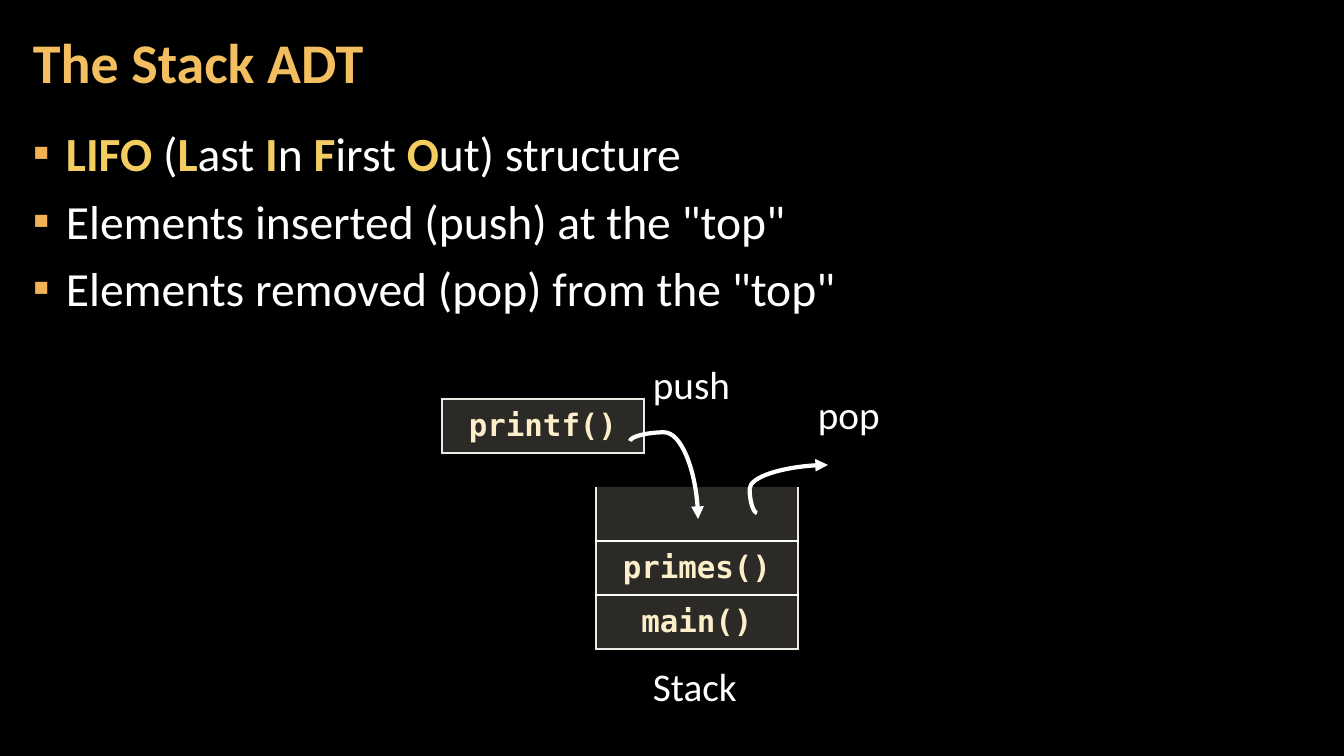
from dataclasses import dataclass

from lxml import etree
from pptx import Presentation
from pptx.dml.color import RGBColor
from pptx.enum.shapes import MSO_CONNECTOR
from pptx.enum.text import MSO_ANCHOR, MSO_AUTO_SIZE, PP_ALIGN
from pptx.oxml.ns import qn
from pptx.util import Emu, Pt

CURVE = MSO_CONNECTOR.CURVE
MIDDLE, TOP = MSO_ANCHOR.MIDDLE, MSO_ANCHOR.TOP
FIXED, GROW = MSO_AUTO_SIZE.NONE, MSO_AUTO_SIZE.SHAPE_TO_FIT_TEXT
LEFT, CENTER = PP_ALIGN.LEFT, PP_ALIGN.CENTER


@dataclass(frozen=True)
class Theme:
    background: str = "000000"
    title: str = "F3BE60"
    highlight: str = "F3CD60"
    bullet: str = "F2B254"
    text: str = "FFFFFF"
    code: str = "FBEEC9"
    frame_fill: str = "D9D5C7"
    frame_edge: str = "ECEAE3"
    sans: str = "Calibri"
    mono: str = "DejaVu Sans Mono"
    title_size: int = 40
    body_size: int = 34
    label_size: int = 28
    code_size: int = 22


THEME = Theme()
OUTER_EDGE = (THEME.frame_edge, 2.25)
INNER_EDGE = (THEME.text, 1)
ROW_HEIGHT = 54
FRAME_WIDTH = 202

BULLETS = [
    [("LIFO", True), (" (", False), ("L", True), ("ast ", False),
     ("I", True), ("n ", False), ("F", True), ("irst ", False),
     ("O", True), ("ut) structure", False)],
    [('Elements inserted (push) at the "top"', False)],
    [('Elements removed (pop) from the "top"', False)],
]
LABELS = [
    ("Stack", (643, 657, 176, 58)),
    ("push", (643, 355, 151, 58)),
    ("pop", (808, 385, 94, 58)),
]


def px(length):
    return Emu(round(length * 914400 / 100.8))


def apply(target, values):
    for name, value in values.items():
        setattr(target, name, value)


def add_child(parent, tag, **attributes):
    return etree.SubElement(parent, qn(tag), attributes)


def add_run(paragraph, text, size, color, bold=False, font=THEME.sans):
    run = paragraph.add_run()
    run.text = text
    apply(run.font, {"size": Pt(size), "bold": bold, "name": font})
    run.font.color.rgb = RGBColor.from_string(color)


def add_title(slide, text):
    title = slide.shapes.title
    apply(title, {"left": px(21), "top": px(4),
                  "width": px(1055), "height": px(122)})
    frame = title.text_frame
    apply(frame, {"word_wrap": True, "auto_size": FIXED,
                  "vertical_anchor": MIDDLE,
                  "margin_left": px(12), "margin_right": px(12),
                  "margin_top": px(4), "margin_bottom": px(4)})
    paragraph = frame.paragraphs[0]
    apply(paragraph, {"alignment": LEFT, "line_spacing": 0.9})
    add_run(paragraph, text, THEME.title_size, THEME.title, True)


def add_bullet(paragraph):
    properties = paragraph._p.get_or_add_pPr()
    properties.set("marL", str(px(33)))
    properties.set("indent", str(px(-33)))
    color = add_child(properties, "a:buClr")
    add_child(color, "a:srgbClr", val=THEME.bullet)
    add_child(properties, "a:buFont", typeface=THEME.sans)
    add_child(properties, "a:buChar", char="▪")


def add_bullet_list(slide, items, box):
    frame = slide.shapes.add_textbox(*map(px, box)).text_frame
    apply(frame, {"word_wrap": True, "vertical_anchor": TOP,
                  "margin_left": px(12), "margin_right": px(12),
                  "margin_top": px(4), "margin_bottom": px(4)})
    for index, pieces in enumerate(items):
        paragraph = frame.add_paragraph() if index else frame.paragraphs[0]
        add_bullet(paragraph)
        apply(paragraph, {"line_spacing": Pt(36), "space_after": Pt(6)})
        if index:
            paragraph.space_before = Pt(6)
        for text, highlighted in pieces:
            color = THEME.highlight if highlighted else THEME.text
            add_run(paragraph, text, THEME.body_size, color, highlighted)


def add_label(slide, text, box):
    frame = slide.shapes.add_textbox(*map(px, box)).text_frame
    apply(frame, {"word_wrap": True, "auto_size": GROW})
    add_run(frame.paragraphs[0], text, THEME.label_size, THEME.text)


def fill_cell(cell):
    cell.fill.solid()
    cell.fill.fore_color.rgb = RGBColor.from_string(THEME.frame_fill)
    color = cell._tc.tcPr.find(".//" + qn("a:srgbClr"))
    add_child(color, "a:alpha", val="20000")


def set_borders(cell, top, bottom):
    """Draw the cell's edges; an edge of None stays open."""
    properties = cell._tc.get_or_add_tcPr()
    sides = [("L", OUTER_EDGE), ("R", OUTER_EDGE), ("T", top), ("B", bottom)]
    for position, (side, edge) in enumerate(sides):
        line = etree.Element(qn("a:ln" + side))
        if edge:
            color, width = edge
            line.set("w", str(Pt(width)))
            add_child(add_child(line, "a:solidFill"), "a:srgbClr", val=color)
        else:
            add_child(line, "a:noFill")
        properties.insert(position, line)


def add_frames(slide, calls, left, top, top_edge):
    """Add one column of call frames, the newest first."""
    table = slide.shapes.add_table(
        len(calls), 1, px(left), px(top),
        px(FRAME_WIDTH), px(ROW_HEIGHT * len(calls))).table
    apply(table, {"first_row": False, "horz_banding": False})
    last = len(calls) - 1
    for row, call in enumerate(calls):
        cell = table.cell(row, 0)
        cell.vertical_anchor = MIDDLE
        fill_cell(cell)
        set_borders(cell, INNER_EDGE if row else top_edge,
                    OUTER_EDGE if row == last else INNER_EDGE)
        if call:
            paragraph = cell.text_frame.paragraphs[0]
            apply(paragraph, {"alignment": CENTER, "line_spacing": 0.95})
            add_run(paragraph, call, THEME.code_size, THEME.code, True,
                    THEME.mono)


def add_curved_arrow(slide, begin, end, bend, rotation=0):
    """Add a curve; bend is in 1/1000 of its width, rotation in degrees."""
    arrow = slide.shapes.add_connector(CURVE, *map(px, begin + end))
    arrow.line.width = Pt(3)
    arrow.line.color.rgb = RGBColor.from_string(THEME.text)
    properties = arrow._element.spPr
    if rotation:
        properties.find(qn("a:xfrm")).set("rot", str(rotation * 60000))
    guides = properties.find(qn("a:prstGeom")).get_or_add_avLst()
    add_child(guides, "a:gd", name="adj1", fmla=f"val {bend * 100}")
    add_child(arrow.line._get_or_add_ln(), "a:tailEnd", type="triangle")
    add_child(properties, "a:effectLst")


def main():
    deck = Presentation()
    apply(deck, {"slide_width": px(1344), "slide_height": px(756)})
    slide = deck.slides.add_slide(deck.slide_layouts.get_by_name("Title Only"))
    slide.background.fill.solid()
    slide.background.fill.fore_color.rgb = RGBColor.from_string(
        THEME.background)

    add_title(slide, "The Stack ADT")
    add_bullet_list(slide, BULLETS, (21, 127, 1301, 614))
    add_frames(slide, ["", "primes()", "main()"], 596, 487, None)
    add_frames(slide, ["printf()"], 442, 399, OUTER_EDGE)
    add_curved_arrow(slide, (703, 446), (625, 514), -112, 270)
    add_curved_arrow(slide, (757, 513), (828, 465), -104)
    for text, box in LABELS:
        add_label(slide, text, box)
    deck.save("out.pptx")


if __name__ == "__main__":
    main()
